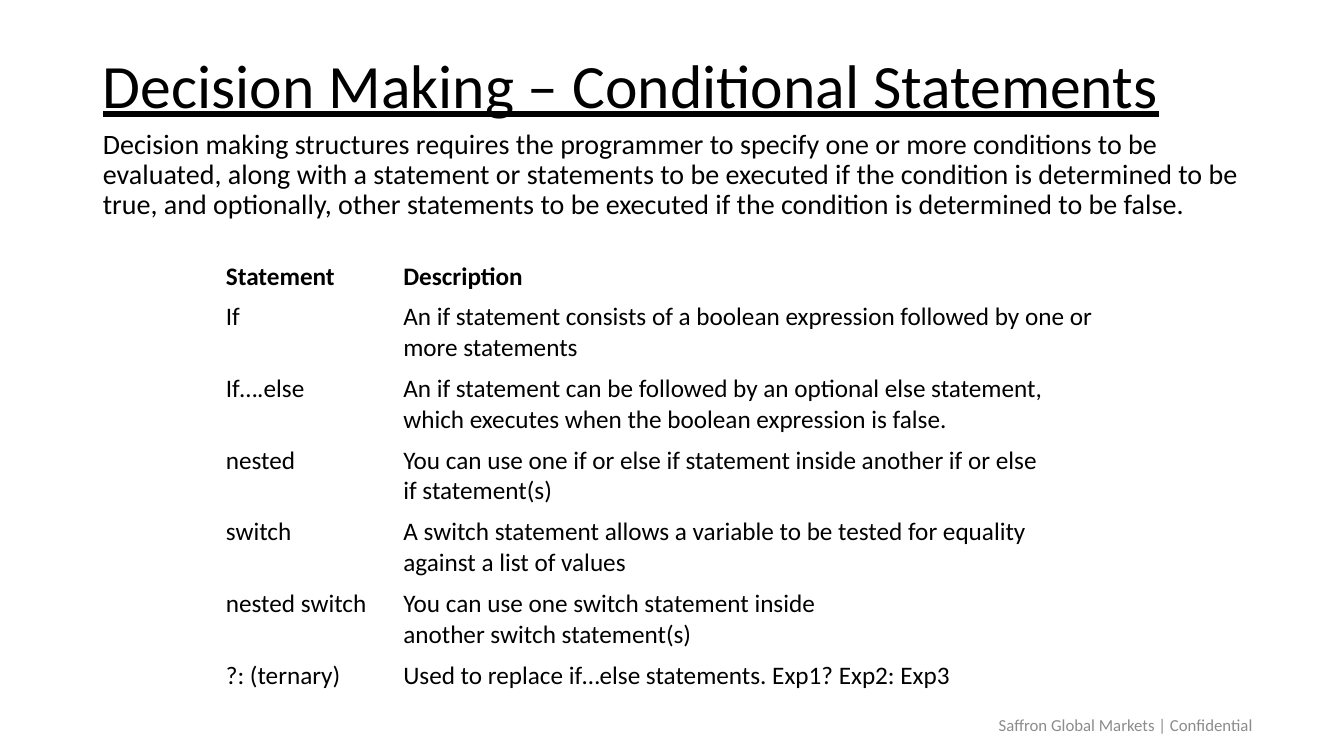
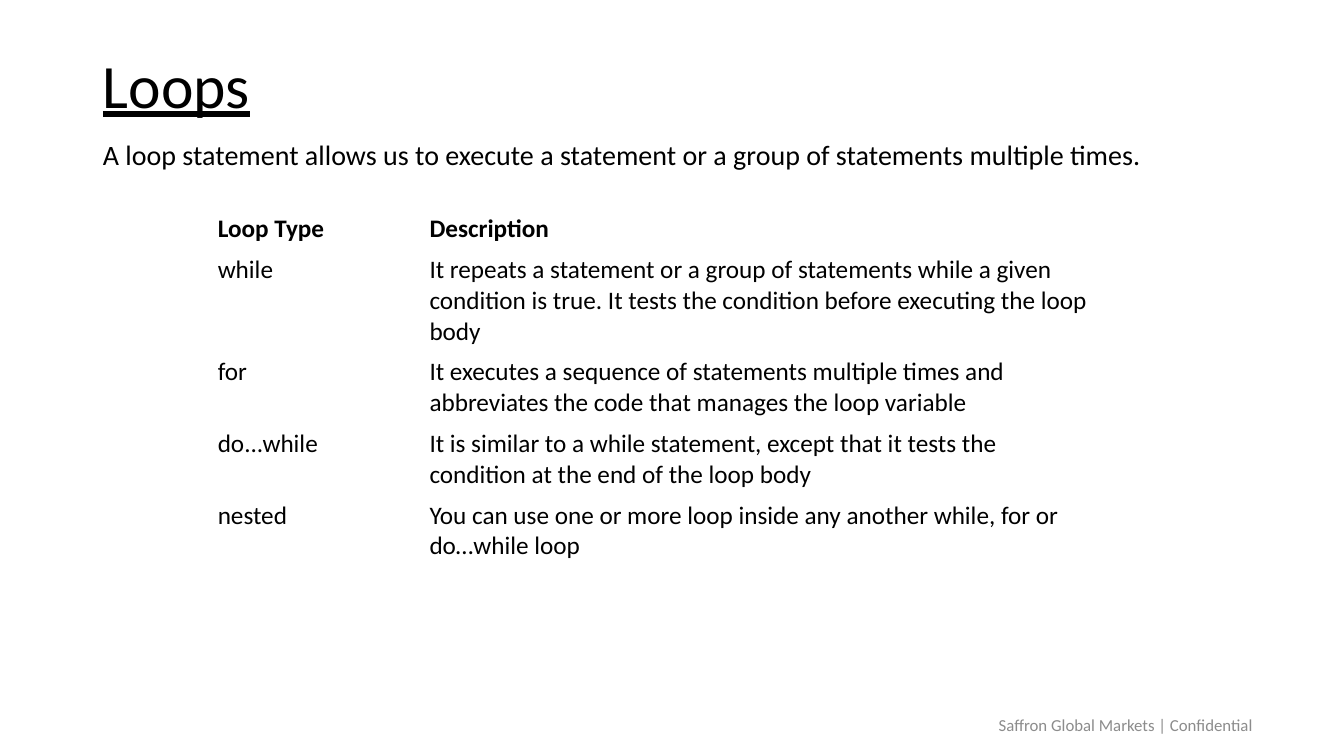
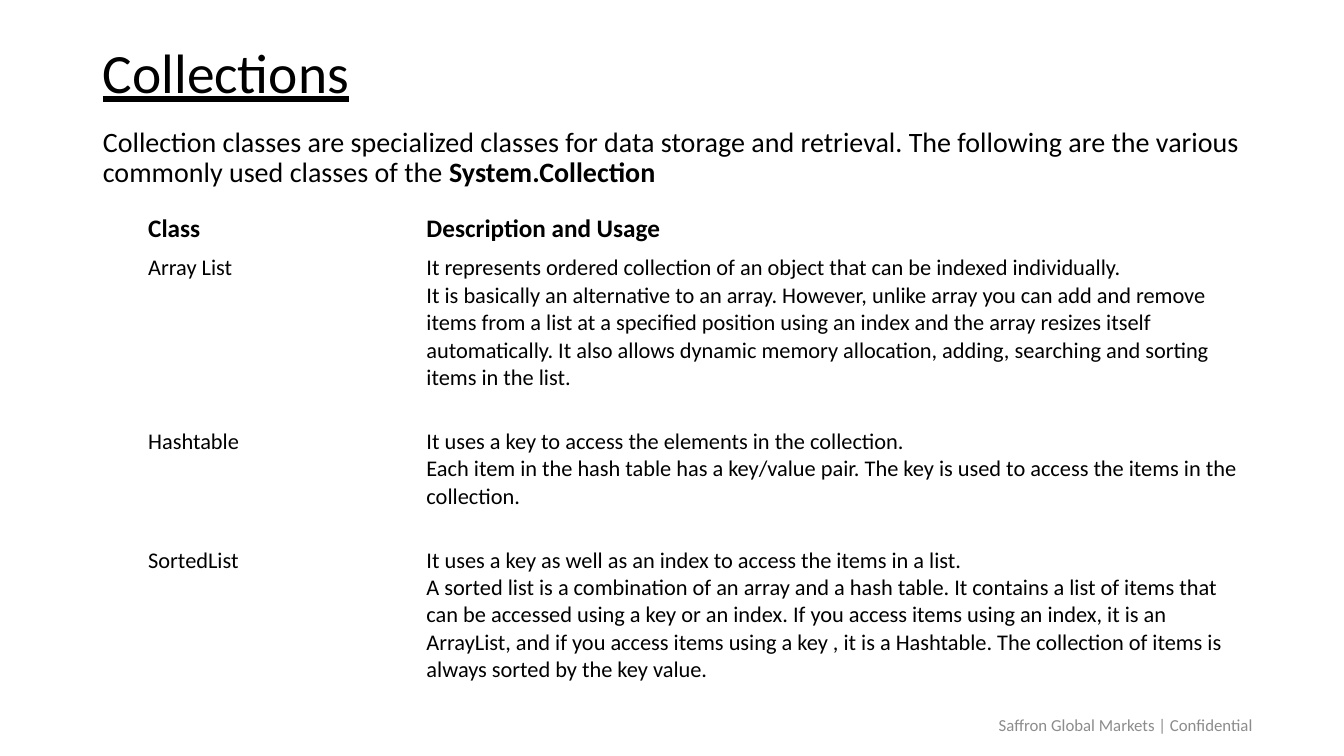
"""Build three slides on conditions, loops and collections."""
from pptx import Presentation
from pptx.dml.color import RGBColor
from pptx.enum.text import MSO_ANCHOR, MSO_AUTO_SIZE, PP_ALIGN
from pptx.oxml.ns import qn
from pptx.util import Inches, Pt

FONT, INK, GREY = "Calibri", "000000", "8C8C8C"
LEFT, WIDTH = 0.92, 11.5
HARD = chr(160)
FOOTER = "Saffron Global Markets | Confidential"

SLIDES = [
    dict(
        title="Decision Making – Conditional Statements",
        head=(0.95, 44), body=(1.24, 5.52),
        intro=["Decision making structures requires the programmer to specify one or more conditions to be evaluated, along with a statement or statements to be executed if the condition is determined to be true, and optionally, other statements to be executed if the condition is determined to be false."],
        at=(2.14, 2.54), cols=(1.76, 7.13), highs=(0.4,) * 7, size=18,
        rows=[
            ("Statement", "Description"),
            ("If", "An~if statement~consists of a boolean expression followed by one or more statements"),
            ("If….else", "An~if statement~can be followed by an optional~else statement, which executes when the boolean expression is false."),
            ("nested", "You can use one~if~or~else if~statement inside another~if~or~else if~statement(s)"),
            ("switch", "A~switch~statement allows a variable to be tested for equality against a list of values"),
            ("nested switch", "You can use one~switch~statement inside another~switch~statement(s)"),
            ("?: (ternary)", "Used to replace if…else statements. Exp1? Exp2: Exp3"),
        ]),
    dict(
        title="Loops", head=(0.95, 44), body=(1.35, 5.41),
        intro=["A loop statement allows us to execute a statement or a group of statements multiple times."],
        at=(2.06, 2.07), cols=(2.1, 6.79), highs=(0.4,) * 5, size=18,
        rows=[
            ("Loop Type", "Description"),
            ("while", "It repeats a statement or a group of statements while a given condition is true. It tests the condition before executing the loop body"),
            ("for", "It executes a sequence of statements multiple times and abbreviates the code that manages the loop variable"),
            ("do...while", "It is similar to a while statement, except that it tests the condition at the end of the loop body"),
            ("nested", "You can use one or more loop inside any another while, for or do…while loop"),
        ]),
    dict(
        title="Collections", head=(0.7, 39.6), body=(1.22, 5.53),
        intro=["Collection classes are specialized classes for data storage and retrieval. The following are the various commonly used classes of the~", "System.Collection"],
        at=(1.37, 2.07), cols=(2.76, 8.28), highs=(0.37, 1.72, 1.18, 1.72), size=16,
        rows=[
            ("Class", "Description and Usage"),
            ("Array List", "It represents ordered collection of an object that can be~indexed~individually.\nIt is basically an alternative to an array. However, unlike array you can add and remove items from a list at a specified position using an~index~and the array resizes itself automatically. It also allows dynamic memory allocation, adding, searching and sorting items in the list."),
            ("Hashtable", "It uses a~key~to access the elements in the collection.\nEach item in the hash table has a~key/value~pair. The key is used to access the items in the collection."),
            ("SortedList", "It uses a~key~as well as an~index~to access the items in a list.\nA sorted list is a combination of an array and a hash table. It contains a list of items that can be accessed using a key or an index. If you access items using an index, it is an ArrayList, and if you access items using a key , it is a Hashtable. The collection of items is always sorted by the key value."),
        ]),
]


def style(font, size, color=INK, bold=False):
    font.name, font.size, font.bold = FONT, Pt(size), bold
    font.color.rgb = RGBColor.from_string(color)


def place(shape, *box):
    shape.left, shape.top, shape.width, shape.height = map(Inches, box)
    frame = shape.text_frame
    frame.word_wrap, frame.auto_size = True, MSO_AUTO_SIZE.NONE
    return frame


def add_title(slide, text, high, size):
    frame = place(slide.shapes.title, LEFT, 0.4, WIDTH, high)
    frame.vertical_anchor = MSO_ANCHOR.MIDDLE
    frame.text = text
    para = frame.paragraphs[0]
    para.alignment, para.line_spacing = PP_ALIGN.LEFT, 0.9
    style(para.font, size)
    para.font.underline = True


def add_intro(slide, parts, top, high):
    para = place(slide.placeholders[1], LEFT, top, WIDTH, high).paragraphs[0]
    para.line_spacing, para.space_before = 0.9, Pt(10)
    style(para.font, 20)
    for index, part in enumerate(parts):
        run = para.add_run()
        run.text = part.replace("~", HARD)
        if index:
            run.font.bold = True
    props = para._p.get_or_add_pPr()
    props.set("marL", "0")
    props.set("indent", "0")
    none = props.makeelement(qn("a:buNone"), {})
    props.insert_element_before(none, "a:tabLst", "a:defRPr", "a:extLst")


def add_grid(slide, rows, at, cols, highs, size):
    box = map(Inches, (*at, sum(cols), sum(highs)))
    table = slide.shapes.add_table(len(rows), len(cols), *box).table
    table.first_row = table.horz_banding = False
    for col, wide in zip(table.columns, cols):
        col.width = Inches(wide)
    for index, (row, high) in enumerate(zip(table.rows, highs)):
        row.height = Inches(high)
        for cell, text in zip(row.cells, rows[index]):
            cell.fill.background()
            cell.text = text.replace("~", HARD)
            for para in cell.text_frame.paragraphs:
                style(para.font, size if index else 18, bold=index == 0)


def add_footer(slide):
    frame = place(slide.shapes.add_textbox(0, 0, 0, 0), 9.74, 6.99, 2.85, 0.4)
    frame.vertical_anchor = MSO_ANCHOR.MIDDLE
    frame.text = FOOTER
    para = frame.paragraphs[0]
    para.alignment = PP_ALIGN.CENTER
    style(para.font, 12, GREY)


def main():
    deck = Presentation()
    deck.slide_width, deck.slide_height = Inches(13.33), Inches(7.5)
    for page in SLIDES:
        slide = deck.slides.add_slide(deck.slide_layouts[1])
        add_title(slide, page["title"], *page["head"])
        add_intro(slide, page["intro"], *page["body"])
        add_footer(slide)
        add_grid(slide, *(page[key] for key in ("rows", "at", "cols", "highs", "size")))
    deck.save("out.pptx")


if __name__ == "__main__":
    main()
